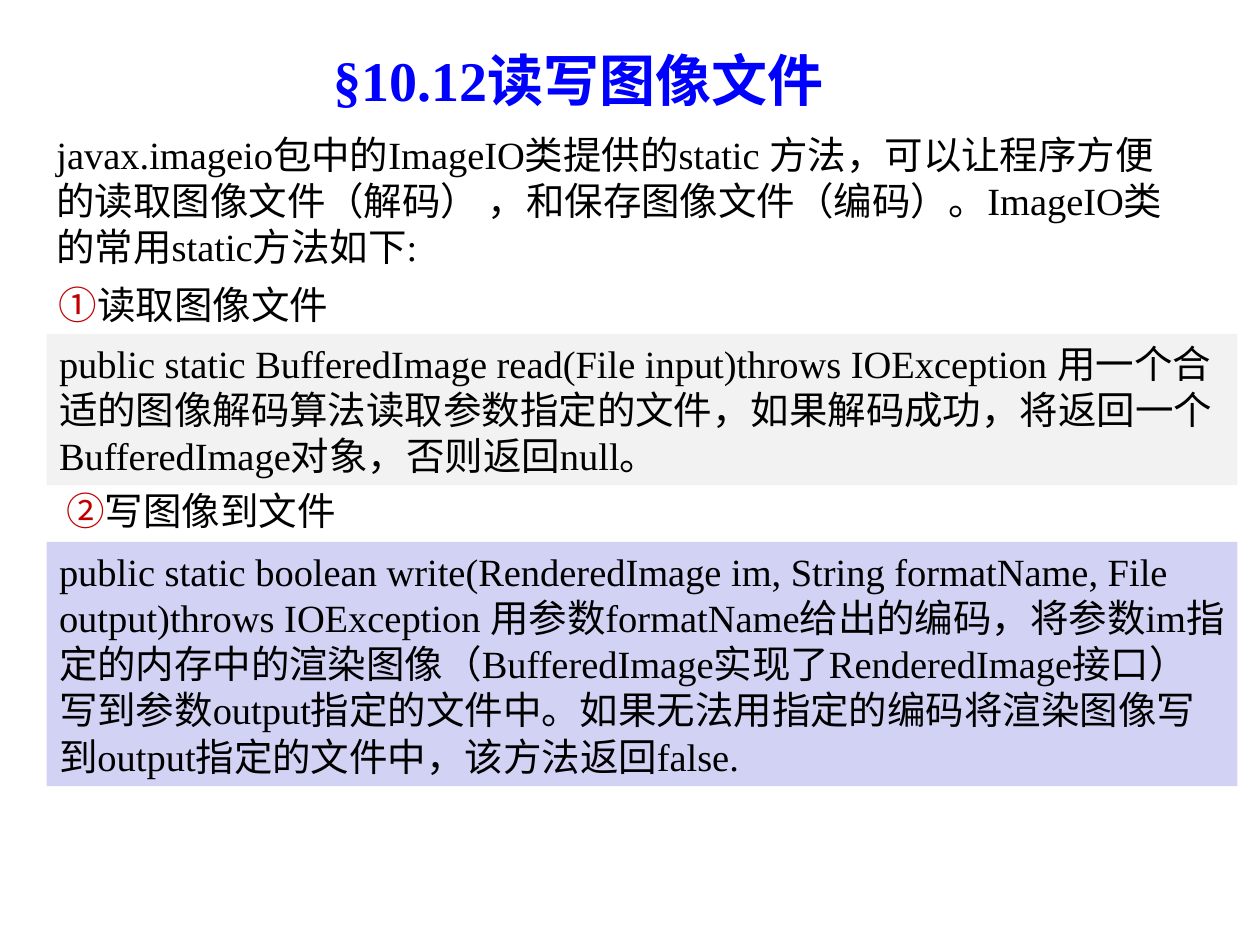
from pptx import Presentation
from pptx.dml.color import RGBColor
from pptx.enum.shapes import MSO_SHAPE
from pptx.enum.text import MSO_ANCHOR, PP_ALIGN
from pptx.util import Inches, Pt

FONT = "Times New Roman"
BLUE = RGBColor(0x00, 0x00, 0xFF)
BLACK = RGBColor(0x00, 0x00, 0x00)
RED = RGBColor(0xC0, 0x00, 0x00)
GREY = RGBColor(0xF2, 0xF2, 0xF2)
LAVENDER = RGBColor(0xD2, 0xD2, 0xF4)

# Shared columns of the layout, in inches
LEFT = 0.37
PANEL_WIDTH = 9.45
HEADING_WIDTH, HEADING_HEIGHT = 5, 0.47

INTRO = ("javax.imageio包中的ImageIO类提供的static 方法，可以让程序方便的读取图像文件"
         "（解码） ，和保存图像文件（编码）。ImageIO类的常用static方法如下:")
READ_METHOD = ("public static BufferedImage read(File input)throws IOException "
               "用一个合适的图像解码算法读取参数指定的文件，如果解码成功，"
               "将返回一个BufferedImage对象，否则返回null。")
WRITE_METHOD = ("public static boolean write(RenderedImage im, String formatName, "
                "File output)throws IOException 用参数formatName给出的编码，"
                "将参数im指定的内存中的渲染图像（BufferedImage实现了RenderedImage接口）"
                "写到参数output指定的文件中。如果无法用指定的编码将渲染图像写到output"
                "指定的文件中，该方法返回false.")


def add_text(paragraph, text, size=22, color=BLACK, bold=False):
    """Append one formatted run to a paragraph."""
    run = paragraph.add_run()
    run.text = text
    run.font.name = FONT
    run.font.size = Pt(size)
    run.font.color.rgb = color
    run.font.bold = bold


def set_title(slide, text, left, top, width, height):
    title = slide.shapes.title
    title.left, title.top = Inches(left), Inches(top)
    title.width, title.height = Inches(width), Inches(height)
    title.text_frame.vertical_anchor = MSO_ANCHOR.MIDDLE
    paragraph = title.text_frame.paragraphs[0]
    paragraph.alignment = PP_ALIGN.CENTER
    add_text(paragraph, text, size=32, color=BLUE, bold=True)


def add_text_box(slide, left, top, width, height):
    """Add a wrapping text box and return its first paragraph."""
    box = slide.shapes.add_textbox(*map(Inches, (left, top, width, height)))
    box.text_frame.word_wrap = True
    return box.text_frame.paragraphs[0]


def add_heading(slide, number, text, left, top):
    paragraph = add_text_box(slide, left, top, HEADING_WIDTH, HEADING_HEIGHT)
    add_text(paragraph, number, color=RED)
    add_text(paragraph, text)


def add_panel(slide, text, top, height, fill):
    panel = slide.shapes.add_shape(
        MSO_SHAPE.RECTANGLE, *map(Inches, (LEFT, top, PANEL_WIDTH, height)))
    panel.shadow.inherit = False
    panel.fill.solid()
    panel.fill.fore_color.rgb = fill
    panel.line.fill.background()
    panel.text_frame.word_wrap = True
    panel.text_frame.vertical_anchor = MSO_ANCHOR.TOP
    paragraph = panel.text_frame.paragraphs[0]
    paragraph.alignment = PP_ALIGN.LEFT
    add_text(paragraph, text)


def main():
    presentation = Presentation()
    presentation.slide_width = Inches(10)
    presentation.slide_height = Inches(7.5)
    slide = presentation.slides.add_slide(presentation.slide_layouts[5])

    # Title and introduction
    set_title(slide, "§10.12读写图像文件", 1.3, 0.36, 6.58, 0.53)
    add_text(add_text_box(slide, 0.35, 0.99, 9.06, 1.2), INTRO)

    # Method descriptions
    add_panel(slide, READ_METHOD, 2.65, 1.2, GREY)
    add_panel(slide, WRITE_METHOD, 4.3, 1.94, LAVENDER)

    # Numbered headings above the panels
    add_heading(slide, "①", "读取图像文件", LEFT, 2.18)
    add_heading(slide, "②", "写图像到文件", 0.43, 3.82)

    presentation.save("out.pptx")


if __name__ == "__main__":
    main()
